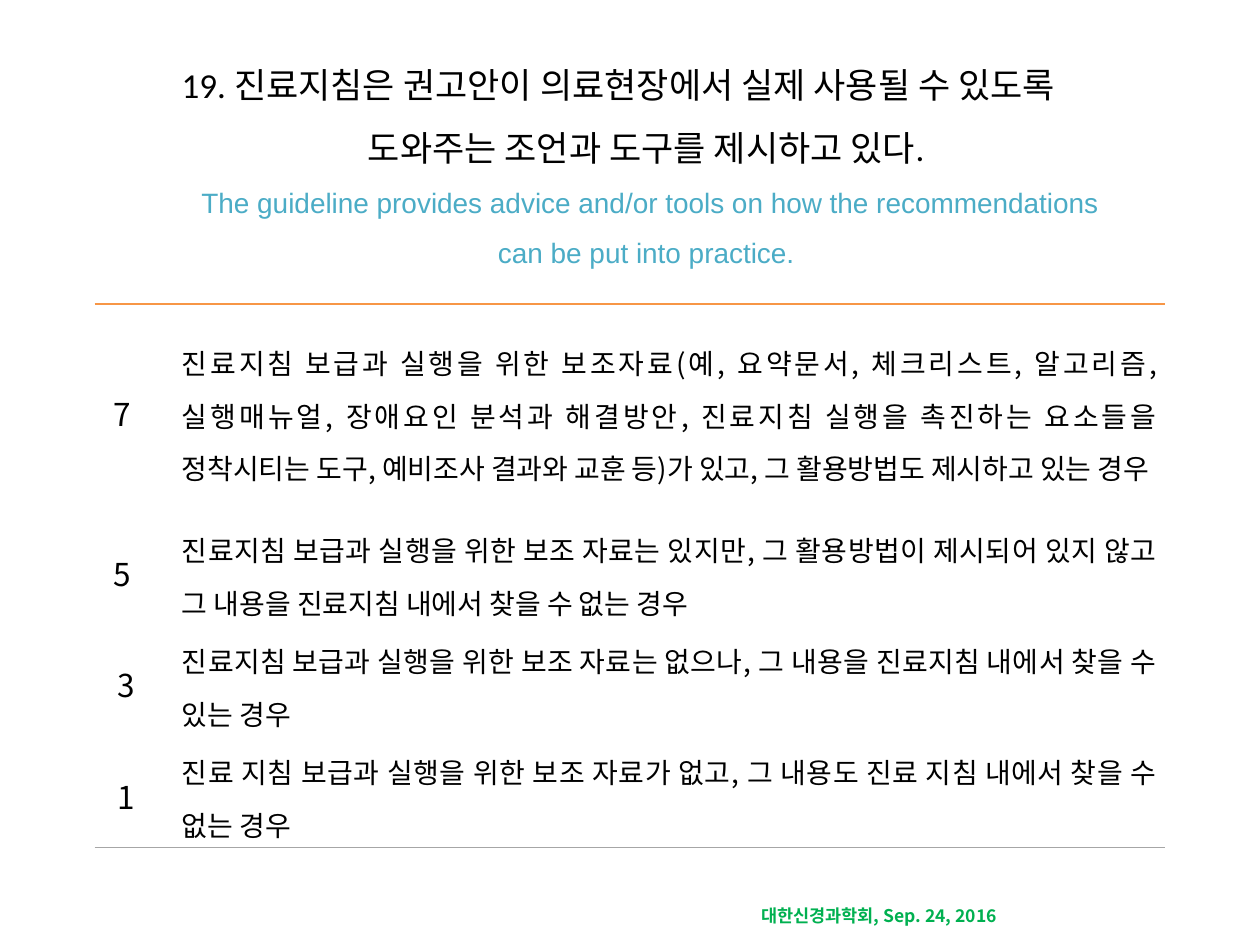
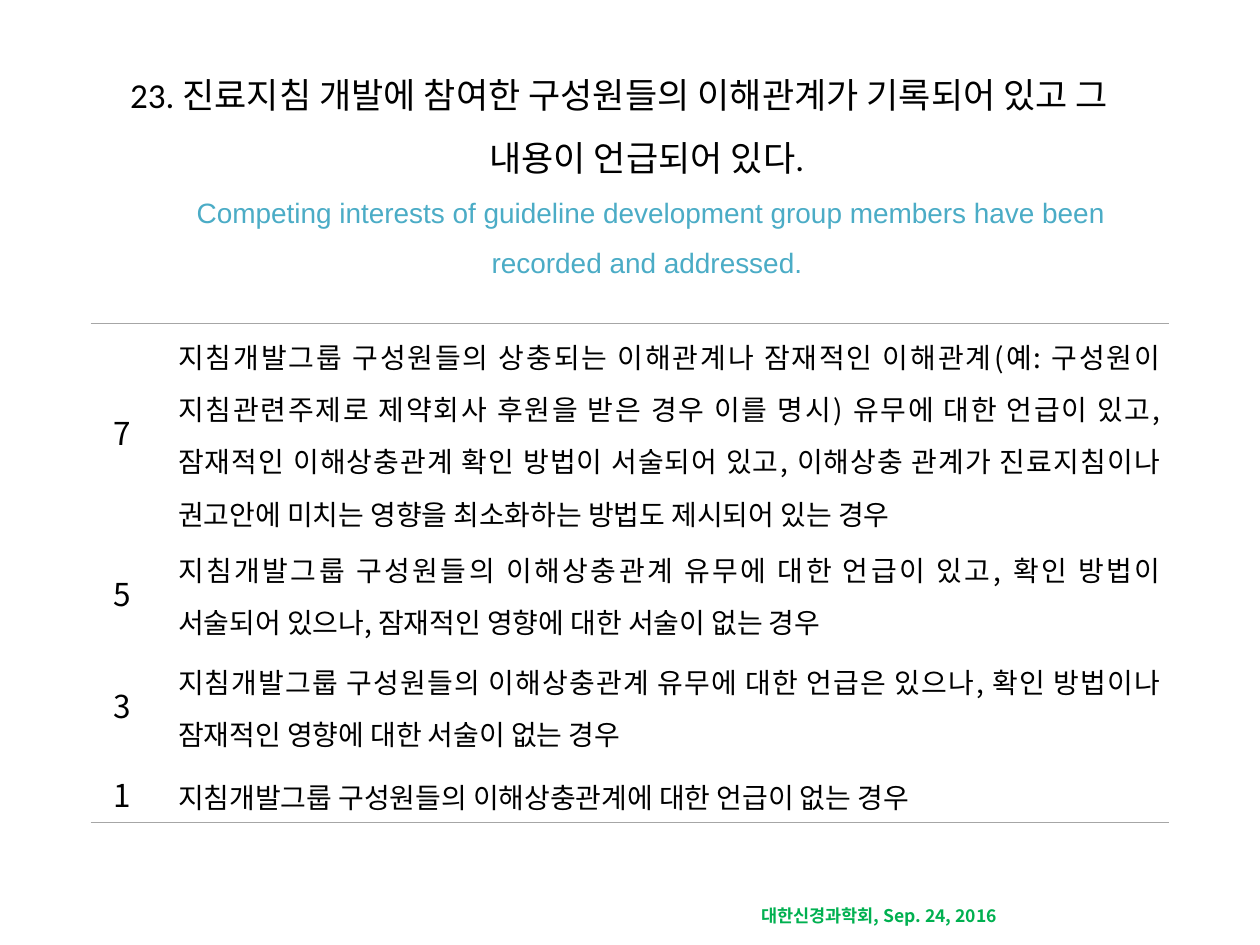
from pptx import Presentation
from pptx.dml.color import RGBColor
from pptx.enum.text import MSO_ANCHOR, PP_ALIGN
from pptx.oxml import parse_xml
from pptx.oxml.ns import nsdecls, qn
from pptx.util import Pt

COLORS = {"text": "000000", "english": "4BACC6", "footer": "00B050",
          "accent": "F79646", "rule": "A6A6A6"}
KOREAN = "Noto Sans CJK KR"
FOOTER = "대한신경과학회, Sep. 24, 2016"
SCORE_WIDTH = 45
PLAIN_TABLE = "{2D5ABB26-0587-4C30-8999-92F81FD0307C}"

CRITERIA = [
    {
        "korean": "19. 진료지침은 권고안이 의료현장에서 실제 사용될 수 있도록 도와주는 조언과 도구를 제시하고 있다. ",
        "english": "The guideline provides advice and/or tools on how the recommendations can be put into practice. ",
        "title_box": (58.3, 33.1, 590.4, 112.3),
        "table_box": (54, 173.5, 612),
        "row_heights": (120.3, 63.5, 63.5, 63.5),
        "top_rule": ("accent", 1.25),
        "scores": [
            ("7 ", "진료지침 보급과 실행을 위한 보조자료(예, 요약문서, 체크리스트, 알고리즘, 실행매뉴얼, "
                   "장애요인 분석과 해결방안, 진료지침 실행을 촉진하는 요소들을 정착시티는 도구, "
                   "예비조사 결과와 교훈 등)가 있고, 그 활용방법도 제시하고 있는 경우"),
            ("5 ", "진료지침 보급과 실행을 위한 보조 자료는 있지만, 그 활용방법이 제시되어 있지 않고 "
                   "그 내용을 진료지침 내에서 찾을 수 없는 경우"),
            ("3", "진료지침 보급과 실행을 위한 보조 자료는 없으나, 그 내용을 진료지침 내에서 찾을 수 있는 경우"),
            ("1", "진료 지침 보급과 실행을 위한 보조 자료가 없고, 그 내용도 진료 지침 내에서 찾을 수 없는 경우"),
        ],
    },
    {
        "korean": "23. 진료지침 개발에 참여한 구성원들의 이해관계가 기록되어 있고 그 내용이 언급되어 있다. ",
        "english": "Competing interests of guideline development group members have been recorded and addressed. ",
        "title_box": (41.8, 49.7, 624.2, 90),
        "table_box": (51.8, 185, 616.3),
        "row_heights": (119.7, 64, 64, 37.5),
        "top_rule": ("rule", 0.5),
        "scores": [
            ("7", "지침개발그룹 구성원들의 상충되는 이해관계나 잠재적인 이해관계(예: 구성원이 지침관련주제로 "
                  "제약회사 후원을 받은 경우 이를 명시) 유무에 대한 언급이 있고, 잠재적인 이해상충관계 확인 방법이 "
                  "서술되어 있고, 이해상충 관계가 진료지침이나 권고안에 미치는 영향을 최소화하는 방법도 제시되어 있는 경우"),
            ("5", "지침개발그룹 구성원들의 이해상충관계 유무에 대한 언급이 있고, 확인 방법이 서술되어 있으나, "
                  "잠재적인 영향에 대한 서술이 없는 경우"),
            ("3", "지침개발그룹 구성원들의 이해상충관계 유무에 대한 언급은 있으나, 확인 방법이나 "
                  "잠재적인 영향에 대한 서술이 없는 경우"),
            ("1", "지침개발그룹 구성원들의 이해상충관계에 대한 언급이 없는 경우"),
        ],
    },
]


class Deck:
    def __init__(self):
        self.prs = Presentation()
        self.prs.slide_width, self.prs.slide_height = Pt(720), Pt(540)
        self.slide = None

    def new_slide(self):
        self.slide = self.prs.slides.add_slide(self.prs.slide_layouts[6])
        self.footer()

    def style(self, run, size, color="text", font=KOREAN, bold=False):
        run.font.name, run.font.size, run.font.bold = font, Pt(size), bold
        run.font.color.rgb = RGBColor.from_string(COLORS[color])

    def text_box(self, box, text):
        frame = self.slide.shapes.add_textbox(*map(Pt, box)).text_frame
        frame.word_wrap = True
        frame.text = text
        return frame

    def footer(self):
        frame = self.text_box((428.2, 513.5, 175.7, 19.4), FOOTER)
        self.style(frame.paragraphs[0].runs[0], 10, "footer", bold=True)

    def title(self, box, korean, english):
        frame = self.text_box(box, f"{korean}\v{english}")
        frame.vertical_anchor = MSO_ANCHOR.MIDDLE
        heading = frame.paragraphs[0]
        heading.alignment, heading.line_spacing = PP_ALIGN.CENTER, 1.5
        properties = heading._p.get_or_add_pPr()
        properties.set("marL", str(Pt(36)))
        properties.set("indent", str(-Pt(36)))
        korean_run, english_run = heading.runs
        self.style(korean_run, 20, font="Calibri")
        self.style(english_run, 16, "english", "Arial")

    def cell(self, cell, text, size, alignment, spacing, margin_right=5):
        cell.text = text
        cell.fill.background()
        cell.vertical_anchor = MSO_ANCHOR.MIDDLE
        cell.margin_left, cell.margin_right = Pt(5), Pt(margin_right)
        cell.margin_top = cell.margin_bottom = 0
        paragraph = cell.text_frame.paragraphs[0]
        paragraph.alignment, paragraph.line_spacing = alignment, spacing
        self.style(paragraph.runs[0], size)

    def rule(self, cell, side, color, width):
        """Draw the top ("T") or bottom ("B") border of a cell."""
        cell._tc.get_or_add_tcPr().insert(0, parse_xml(
            f'<a:ln{side} {nsdecls("a")} w="{Pt(width)}"><a:solidFill>'
            f'<a:srgbClr val="{COLORS[color]}"/></a:solidFill></a:ln{side}>'))

    def score_table(self, box, row_heights, scores, top_rule):
        left, top, width = box
        table = self.slide.shapes.add_table(
            len(scores), 2, *map(Pt, (left, top, width, sum(row_heights)))).table
        table.first_row = table.horz_banding = False
        table._tbl.tblPr.find(qn("a:tableStyleId")).text = PLAIN_TABLE
        table.columns[0].width = Pt(SCORE_WIDTH)
        table.columns[1].width = Pt(width - SCORE_WIDTH)
        for row, height, (score, condition) in zip(table.rows, row_heights, scores):
            row.height = Pt(height)
            score_cell, condition_cell = row.cells
            self.cell(score_cell, score, 18, PP_ALIGN.CENTER, 1.15, margin_right=14)
            score_cell.text_frame.paragraphs[0].space_after = Pt(8)
            self.cell(condition_cell, condition, 16, PP_ALIGN.JUSTIFY, 1.3)
        for column in range(2):
            self.rule(table.cell(0, column), "T", *top_rule)
            self.rule(table.cell(len(scores) - 1, column), "B", "rule", 0.5)


def main():
    deck = Deck()
    for criterion in CRITERIA:
        deck.new_slide()
        deck.title(criterion["title_box"], criterion["korean"], criterion["english"])
        deck.score_table(criterion["table_box"], criterion["row_heights"],
                         criterion["scores"], criterion["top_rule"])
    deck.prs.save("out.pptx")


if __name__ == "__main__":
    main()
